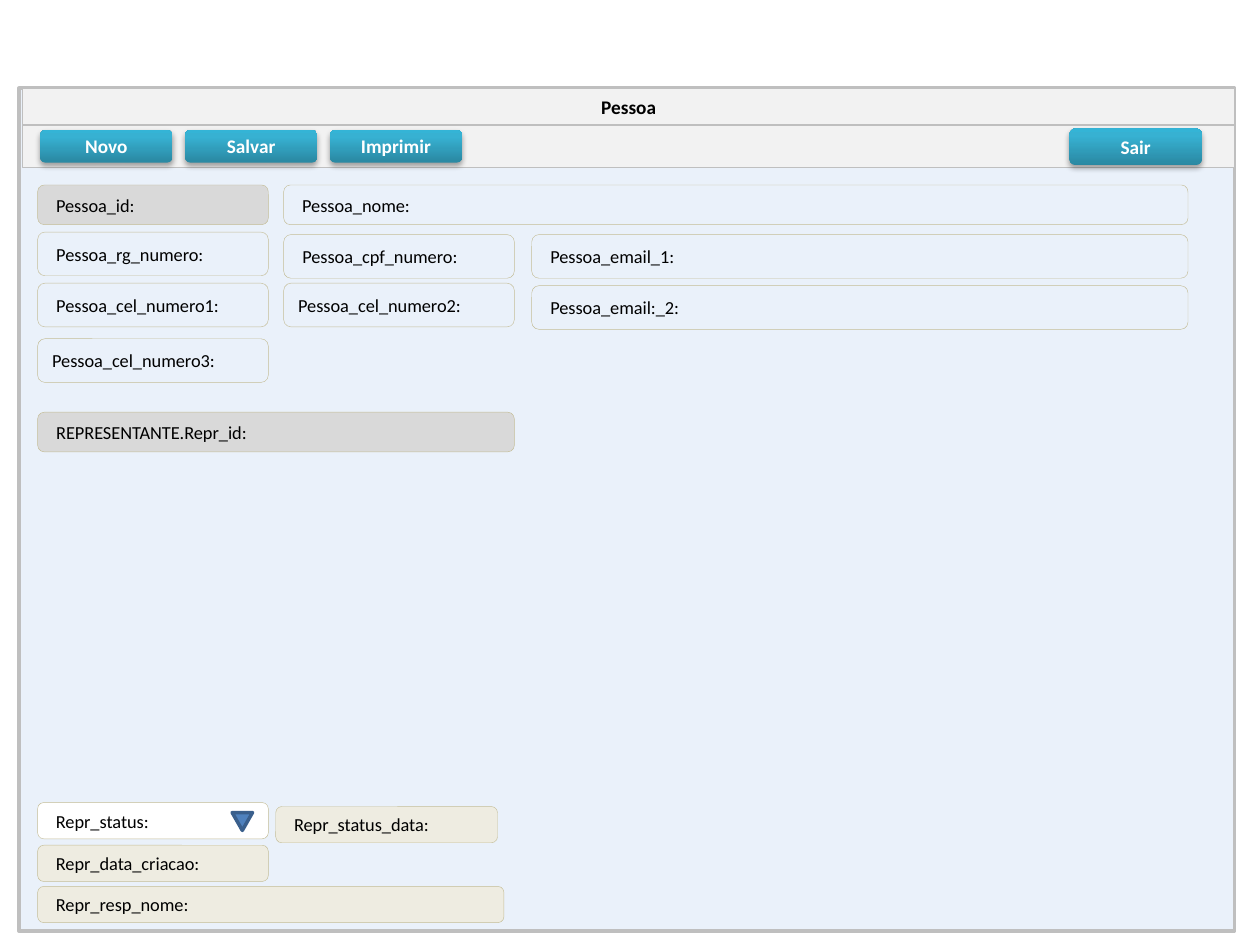
from pptx import Presentation
from pptx.dml.color import RGBColor
from pptx.enum.shapes import MSO_SHAPE
from pptx.enum.text import MSO_ANCHOR, PP_ALIGN
from pptx.oxml import parse_xml
from pptx.oxml.ns import nsdecls, qn
from pptx.util import Cm, Pt

WHITE = RGBColor(0xFF, 0xFF, 0xFF)
BLACK = RGBColor(0x00, 0x00, 0x00)
WINDOW_BLUE = RGBColor(0xEA, 0xF1, 0xFA)
BAR_GRAY = RGBColor(0xF2, 0xF2, 0xF2)
BORDER_GRAY = RGBColor(0xBF, 0xBF, 0xBF)
KEY_GRAY = RGBColor(0xD9, 0xD9, 0xD9)
READ_ONLY_BEIGE = RGBColor(0xEE, 0xEC, 0xE1)
FIELD_BORDER = RGBColor(0xC4, 0xBD, 0x97)
ARROW_BLUE = RGBColor(0x4F, 0x81, 0xBD)
ARROW_BORDER = RGBColor(0x3A, 0x5F, 0x8C)
BUTTON_DARK = RGBColor(0x2A, 0x88, 0xA2)
BUTTON_MIDDLE = RGBColor(0x37, 0xB1, 0xD2)
BUTTON_LIGHT = RGBColor(0x34, 0xB4, 0xD6)

COLUMNS = (0, 4.96, 9.96)
NARROW = 4.65


def add_box(slide, kind, left, top, width, height, fill=None, line=None, line_width=0.25):
    """Add a flat preset shape, measured in centimetres."""
    shape = slide.shapes.add_shape(kind, Cm(left), Cm(top), Cm(width), Cm(height))
    shape.shadow.inherit = False
    if fill is None:
        shape.fill.background()
    else:
        shape.fill.solid()
        shape.fill.fore_color.rgb = fill
    if line is None:
        shape.line.fill.background()
    else:
        shape.line.color.rgb = line
        shape.line.width = Pt(line_width)
    return shape


def write_text(shape, text, size, color=BLACK, bold=False, align=PP_ALIGN.LEFT):
    """Write one vertically centred line of text in a shape."""
    frame = shape.text_frame
    frame.word_wrap = True
    frame.vertical_anchor = MSO_ANCHOR.MIDDLE
    paragraph = frame.paragraphs[0]
    paragraph.text = text
    paragraph.alignment = align
    paragraph.font.name = "Calibri"
    paragraph.font.size = Pt(size)
    paragraph.font.bold = bold
    paragraph.font.color.rgb = color


def add_button(slide, text, left, top, height):
    """Add a glossy button with a gradient and a soft shadow."""
    button = add_box(slide, MSO_SHAPE.ROUNDED_RECTANGLE, left, top, 2.67, height)
    stops = "".join(
        f'<a:gs pos="{position}"><a:srgbClr val="{color}"/></a:gs>'
        for position, color in ((0, BUTTON_DARK), (80000, BUTTON_MIDDLE), (100000, BUTTON_LIGHT))
    )
    gradient = parse_xml(
        f'<a:gradFill {nsdecls("a")} rotWithShape="1"><a:gsLst>{stops}</a:gsLst>'
        '<a:lin ang="16200000" scaled="0"/></a:gradFill>'
    )
    properties = button._element.spPr
    properties.replace(properties.find(qn("a:noFill")), gradient)
    properties.find(qn("a:effectLst")).append(parse_xml(
        f'<a:outerShdw {nsdecls("a")} blurRad="40000" dist="23000" dir="5400000" rotWithShape="0">'
        '<a:srgbClr val="000000"><a:alpha val="35000"/></a:srgbClr></a:outerShdw>'
    ))
    write_text(button, text, 11, WHITE, True, PP_ALIGN.CENTER)


def add_fields(slide, left, top, fields):
    """Place labelled fields relative to the top left corner of a form region."""
    for text, x, y, width, height, fill in fields:
        field = add_box(slide, MSO_SHAPE.ROUNDED_RECTANGLE, left + x, top + y,
                        width, height, fill, FIELD_BORDER)
        write_text(field, text, 10.5)


def add_window(slide, left, top, width, height):
    """Draw the window frame with its title bar and toolbar background."""
    add_box(slide, MSO_SHAPE.RECTANGLE, left, top, width, height, WINDOW_BLUE, BORDER_GRAY, 2)
    title = add_box(slide, MSO_SHAPE.RECTANGLE, left + 0.08, top, width - 0.08, 0.74,
                    BAR_GRAY, BORDER_GRAY, 0.75)
    write_text(title, "Pessoa", 11, bold=True, align=PP_ALIGN.CENTER)
    add_box(slide, MSO_SHAPE.RECTANGLE, left + 0.08, top + 0.74, width - 0.08, 0.86,
            BAR_GRAY, BORDER_GRAY, 0.75)


def add_toolbar(slide, left, top, width):
    """Place the action buttons on the left and the exit button on the right."""
    for index, text in enumerate(("Novo", "Salvar", "Imprimir")):
        add_button(slide, text, left + 0.43 + index * 2.92, top + 0.1, 0.66)
    add_button(slide, "Sair", left + width - 3.33, top + 0.07, 0.74)


def add_person_form(slide, left, top):
    """Place the fields that describe the person."""
    first, second, third = COLUMNS
    wide = 13.23
    add_fields(slide, left, top, (
        (" Pessoa_id:", first, 0, NARROW, 0.8, KEY_GRAY),
        (" Pessoa_nome:", second, 0, third - second + wide, 0.8, None),
        (" Pessoa_rg_numero:", first, 0.95, NARROW, 0.88, None),
        (" Pessoa_cpf_numero:", second, 1, NARROW, 0.88, None),
        (" Pessoa_email_1:", third, 1, wide, 0.88, None),
        (" Pessoa_cel_numero1:", first, 1.98, NARROW, 0.88, None),
        ("Pessoa_cel_numero2:", second, 1.98, NARROW, 0.88, None),
        (" Pessoa_email:_2:", third, 2.03, wide, 0.88, None),
        ("Pessoa_cel_numero3:", first, 3.1, NARROW, 0.88, None),
        (" REPRESENTANTE.Repr_id:", first, 4.58, second + NARROW, 0.8, KEY_GRAY),
    ))


def add_status_form(slide, left, top):
    """Place the record status fields and the drop-down arrow."""
    add_fields(slide, left, top, (
        (" Repr_status:", 0, 0, NARROW, 0.73, WHITE),
        (" Repr_status_data:", 4.8, 0.08, 4.47, 0.73, READ_ONLY_BEIGE),
        (" Repr_data_criacao:", 0, 0.86, NARROW, 0.73, READ_ONLY_BEIGE),
        (" Repr_resp_nome:", 0, 1.69, 9.4, 0.73, READ_ONLY_BEIGE),
    ))
    arrow = add_box(slide, MSO_SHAPE.FLOWCHART_EXTRACT, left + 3.92, top + 0.2, 0.41, 0.36,
                    ARROW_BLUE, ARROW_BORDER, 2)
    arrow.rotation = 180


def main():
    """Build the person registration screen."""
    presentation = Presentation()
    presentation.slide_width = Cm(25.4)
    presentation.slide_height = Cm(19.05)
    slide = presentation.slides.add_slide(presentation.slide_layouts[6])
    left, top, width, height = 0.38, 1.78, 24.51, 16.99
    add_window(slide, left, top, width, height)
    add_toolbar(slide, left, top + 0.74, width)
    add_person_form(slide, left + 0.38, top + 1.95)
    add_status_form(slide, left + 0.38, top + 14.4)
    presentation.save("out.pptx")


if __name__ == "__main__":
    main()
